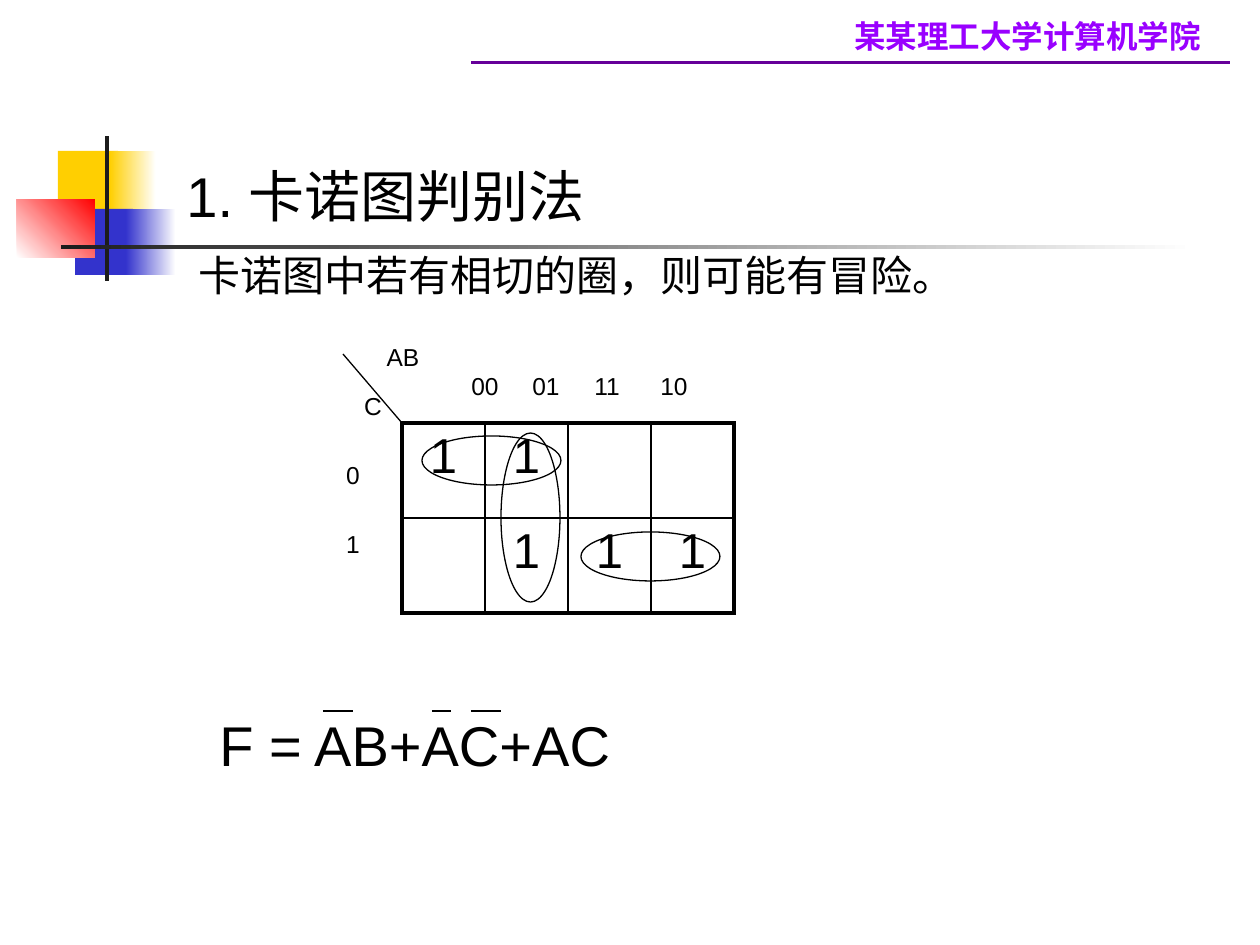
from lxml.etree import SubElement
from pptx import Presentation
from pptx.dml.color import RGBColor
from pptx.enum.shapes import MSO_CONNECTOR, MSO_SHAPE
from pptx.enum.text import PP_ALIGN
from pptx.oxml.ns import qn
from pptx.util import Pt

PIXEL = 914400 // 126
BLACK = "000000"
rgb = RGBColor.from_string

presentation = Presentation()
presentation.slide_width = 1260 * PIXEL
presentation.slide_height = 945 * PIXEL
slide = presentation.slides.add_slide(presentation.slide_layouts[6])
shapes = slide.shapes


def add_text(box, lines, align=PP_ALIGN.LEFT, color=BLACK, bold=False, font="Arial"):
    frame = shapes.add_textbox(*(n * PIXEL for n in box)).text_frame
    frame.word_wrap = True
    for index, (text, size, before) in enumerate(lines):
        paragraph = frame.paragraphs[0] if index == 0 else frame.add_paragraph()
        paragraph.text = text
        paragraph.alignment = align
        paragraph.space_before = Pt(before)
        paragraph.font.size = Pt(size)
        paragraph.font.name = font
        paragraph.font.bold = bold
        paragraph.font.color.rgb = rgb(color)
    return frame


def add_line(x1, y1, x2, y2, color=BLACK, width=0.75):
    line = shapes.add_connector(MSO_CONNECTOR.STRAIGHT, *(n * PIXEL for n in (x1, y1, x2, y2)))
    line.line.color.rgb = rgb(color)
    line.line.width = Pt(width)
    SubElement(line._element.spPr, qn("a:effectLst"))


ornaments = [
    ((58, 151, 60, 66), ["FFCF01"], 0),
    ((110, 151, 46, 66), ["FFCF01", "FFFFFF"], 0),
    ((75, 209, 58, 66), ["3333CC"], 0),
    ((126, 209, 50, 66), ["3333CC", "FFFFFF"], 0),
    ((17, 199, 78, 59), ["FFFFFF", "FF0000"], 45),
    ((105, 136, 4, 145), ["1C1C1C"], 0),
    ((61, 245, 1134, 4), ["1C1C1C", "FFFFFF"], 0),
]
for box, colors, angle in ornaments:
    ornament = shapes.add_shape(MSO_SHAPE.RECTANGLE, *(n * PIXEL for n in box))
    ornament.shadow.inherit = False
    ornament.line.fill.background()
    if len(colors) == 1:
        ornament.fill.solid()
        ornament.fill.fore_color.rgb = rgb(colors[0])
    else:
        ornament.fill.gradient()
        ornament.fill.gradient_angle = angle
        for stop, color in zip(ornament.fill.gradient_stops, colors):
            stop.color.rgb = rgb(color)

add_line(1230, 63, 471, 63, "660099", 1.75)
add_text((403, 11, 810, 50), [("某某理工大学计算机学院", 18, 0)],
         PP_ALIGN.RIGHT, "9900FF", True, "Noto Sans CJK SC")

heading = add_text((174, 155, 1022, 183), [
    ("1. 卡诺图判别法", 32, 0),
    ("卡诺图中若有相切的圈，则可能有冒险。", 24, 12),
])
heading.paragraphs[1]._p.get_or_add_pPr().set("marL", str(12 * PIXEL))

karnaugh = [["1", "1", "", ""], ["", "1", "1", "1"]]
table = shapes.add_table(2, 4, 402 * PIXEL, 423 * PIXEL, 332 * PIXEL, 190 * PIXEL).table
table.first_row = table.horz_banding = False
for row, values in enumerate(karnaugh):
    for column, value in enumerate(values):
        cell = table.cell(row, column)
        cell.text = value
        paragraph = cell.text_frame.paragraphs[0]
        paragraph.alignment = PP_ALIGN.CENTER
        paragraph.font.size = Pt(28)
        paragraph.font.name = "Arial"
        paragraph.font.color.rgb = rgb(BLACK)
        properties = cell._tc.get_or_add_tcPr()
        outer = {"lnL": column == 0, "lnR": column == 3, "lnT": row == 0, "lnB": row == 1}
        for side, is_outer in outer.items():
            border = SubElement(properties, qn(f"a:{side}"), w=str(Pt(2.25 if is_outer else 1)))
            SubElement(SubElement(border, qn("a:solidFill")), qn("a:srgbClr"), val=BLACK)
        cell.fill.background()

add_line(343, 354, 402, 423)
column_codes = add_text((459, 365, 291, 50), [("00\t01\t11\t10", 14, 0)])
tabs = SubElement(column_codes.paragraphs[0]._p.get_or_add_pPr(), qn("a:tabLst"))
for position in (61, 123, 189):
    SubElement(tabs, qn("a:tab"), pos=str(position * PIXEL), algn="l")
# noqa
add_text((353, 336, 100, 50), [("AB", 14, 0)], PP_ALIGN.CENTER)
add_text((323, 385, 100, 50), [("C", 14, 0)], PP_ALIGN.CENTER)
add_text((333, 454, 40, 141), [("0", 14, 0), ("1", 14, 22.8)], PP_ALIGN.CENTER)

for box in [(422, 436, 139, 49), (581, 532, 139, 49), (501, 433, 59, 169)]:
    circle = shapes.add_shape(MSO_SHAPE.OVAL, *(n * PIXEL for n in box))
    circle.shadow.inherit = False
    circle.fill.background()
    circle.line.color.rgb = rgb(BLACK)
    circle.line.width = Pt(0.75)

add_text((207, 704, 1010, 79), [("F = AB+AC+AC", 32, 0)])
for start, end in [(323, 353), (432, 451), (471, 501)]:
    add_line(start, 711, end, 711)

presentation.save("out.pptx")
